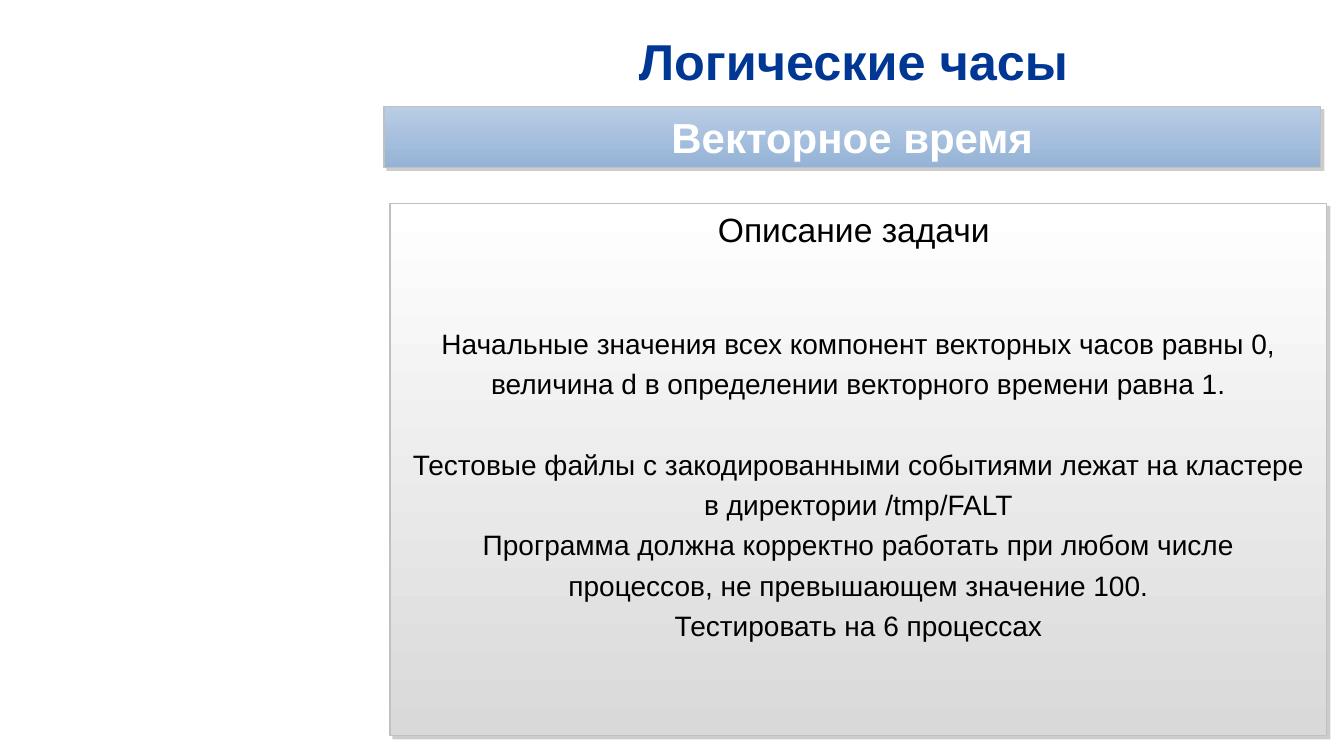
from lxml import etree
from pptx import Presentation
from pptx import util as u
from pptx.dml.color import RGBColor
from pptx.enum import shapes, text
from pptx.oxml.ns import qn

COLORS = {
    "title": "003794", "text": "000000", "white": "FFFFFF",
    "banner_top": "B9CDE5", "banner_bottom": "95B3D7",
    "panel_bottom": "D9D9D9", "outline": "C0C0C0", "shadow": "808080",
}
TASK = [
    "Начальные значения всех компонент векторных часов равны 0, "
    "величина d в определении векторного времени равна 1.",
    "Тестовые файлы с закодированными событиями лежат на кластере "
    "в директории /tmp/FALT",
    "Программа должна корректно работать при любом числе процессов, "
    "не превышающем значение 100.",
    "Тестировать на 6 процессах",
]


def color(name):
    return RGBColor.from_string(COLORS[name])


def part(box, left, top, width, height):
    """Return the box that takes the given percentages of another box."""
    x, y, w, h = box
    return (int(x + w * left / 100), int(y + h * top / 100),
            int(w * width / 100), int(h * height / 100))


def place(shape, box):
    shape.left, shape.top, shape.width, shape.height = box


def write(shape, lines, size, color_name, bold=False, spacing=1.0):
    frame = shape.text_frame
    frame.word_wrap = True
    frame.auto_size = text.MSO_AUTO_SIZE.NONE
    frame.text = "\n".join(lines)
    for paragraph in frame.paragraphs:
        paragraph.alignment = text.PP_ALIGN.CENTER
        paragraph.line_spacing = spacing
        paragraph.space_before = u.Pt(0)
        for run in paragraph.runs:
            run.font.name = "Arial"
            run.font.size = u.Pt(size)
            run.font.bold = bold
            run.font.color.rgb = color(color_name)


def add_gradient_box(slide, box, top_color, bottom_color):
    shape = slide.shapes.add_shape(shapes.MSO_SHAPE.RECTANGLE, *box)
    shape.fill.gradient()
    shape.fill.gradient_angle = 270
    for stop, name in zip(shape.fill.gradient_stops, (top_color, bottom_color)):
        stop.color.rgb = color(name)
    shape.line.color.rgb = color("outline")
    shape.line.width = u.Pt(1)
    # Offset shadow to the lower right
    shape.shadow.inherit = False
    effects = shape._element.spPr.find(qn("a:effectLst"))
    shadow = etree.SubElement(effects, qn("a:outerShdw"), blurRad="0",
                              dist=str(u.Pt(3)), dir="2700000",
                              algn="tl", rotWithShape="0")
    tint = etree.SubElement(shadow, qn("a:srgbClr"), val=COLORS["shadow"])
    etree.SubElement(tint, qn("a:alpha"), val="40000")
    return shape


def add_title(slide, box):
    title = slide.shapes.title
    place(title, box)
    write(title, ["Логические часы"], 36, "title", bold=True)
    title.text_frame.vertical_anchor = text.MSO_ANCHOR.MIDDLE


def add_banner(slide, box):
    banner = add_gradient_box(slide, box, "banner_top", "banner_bottom")
    write(banner, ["Векторное время"], 30, "white", bold=True)
    frame = banner.text_frame
    frame.vertical_anchor = text.MSO_ANCHOR.MIDDLE
    frame.margin_left = frame.margin_right = u.Inches(0.24)
    frame.margin_top = frame.margin_bottom = u.Inches(0.04)


def add_task_panel(slide, box):
    # Background goes behind the placeholders
    panel = add_gradient_box(slide, box, "white", "panel_bottom")
    slide.shapes._spTree.insert(2, panel._element)

    heading = slide.shapes.add_textbox(*part(box, 1.18, 0, 96.66, 9.47))
    write(heading, ["Описание задачи"], 24, "text")

    # Task text without bullets, with a gap of one line after the first item
    body = slide.placeholders[1]
    place(body, part(box, 0.86, 20.83, 98.28, 63.07))
    write(body, TASK, 20, "text", spacing=1.2)
    body.text_frame.vertical_anchor = text.MSO_ANCHOR.TOP
    body.text_frame.paragraphs[1].space_before = u.Pt(28.8)
    for paragraph in body.text_frame.paragraphs:
        properties = paragraph._p.get_or_add_pPr()
        properties.set("marL", "0")
        properties.set("indent", "0")
        etree.SubElement(properties, qn("a:buNone"))


def main():
    presentation = Presentation()
    presentation.slide_width = u.Inches(13.33)
    presentation.slide_height = u.Inches(7.5)
    slide = presentation.slides.add_slide(presentation.slide_layouts[1])
    page = (0, 0, presentation.slide_width, presentation.slide_height)

    add_title(slide, part(page, 28.66, 3.47, 69.69, 9.07))
    add_task_panel(slide, part(page, 29.03, 26.93, 69.69, 70.4))
    add_banner(slide, part(page, 28.58, 14.13, 69.69, 8))
    presentation.save("out.pptx")


if __name__ == "__main__":
    main()
